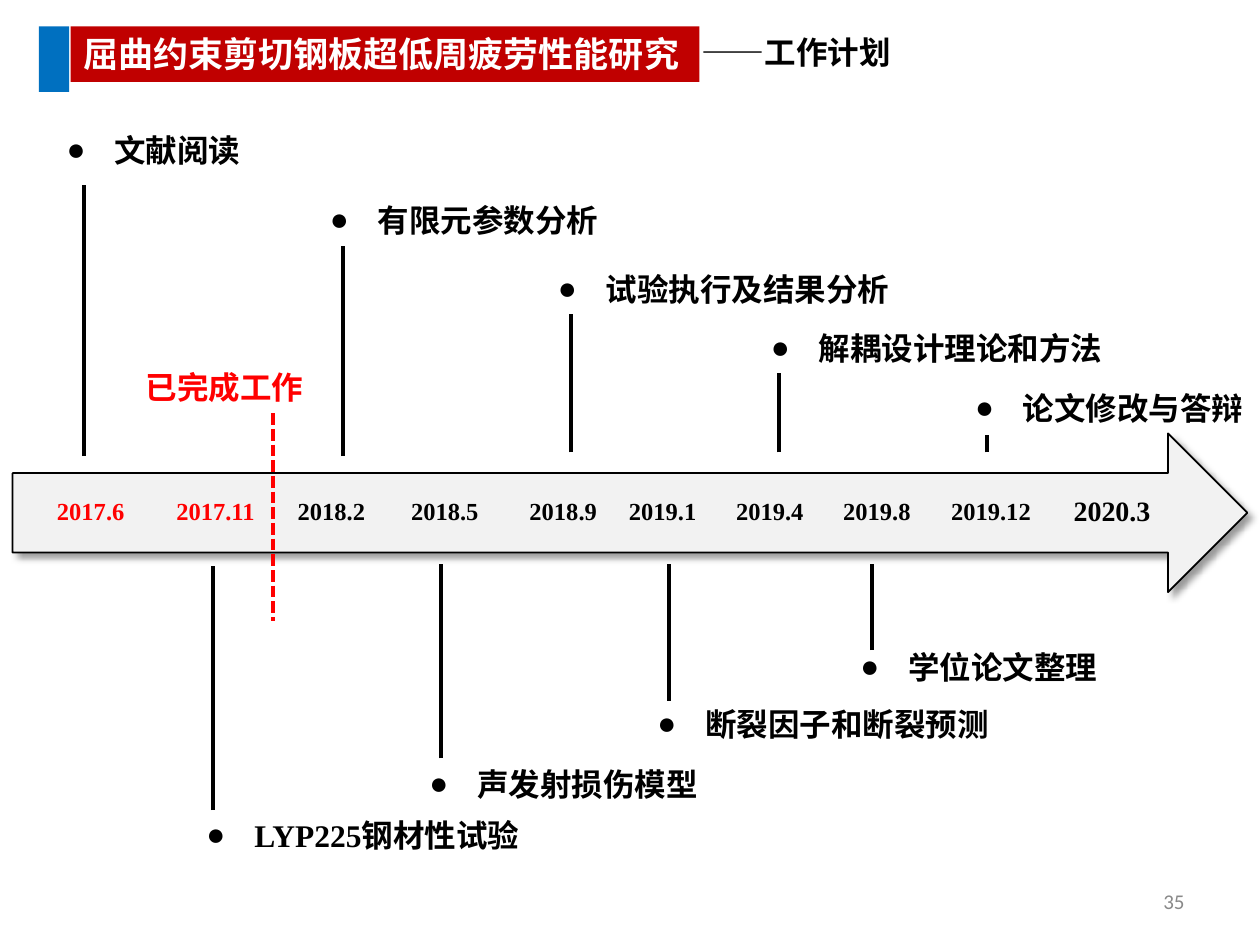
"""Build the work-plan timeline slide."""
from lxml import etree
from pptx import Presentation
from pptx import util as u
from pptx.dml.color import RGBColor
from pptx.enum import dml, shapes, text
from pptx.oxml import ns

BLACK = RGBColor(0, 0, 0)
WHITE = RGBColor(255, 255, 255)
RED = RGBColor(255, 0, 0)
DARK_RED = RGBColor(0xC0, 0, 0)
BLUE = RGBColor(0, 0x70, 0xC0)
PALE = RGBColor(0xF2, 0xF2, 0xF2)
GREY = RGBColor(0x89, 0x89, 0x89)
CJK, SERIF = "Noto Sans CJK SC", "Times New Roman"

TITLE = "屈曲约束剪切钢板超低周疲劳性能研究"
SUBTITLE = "——工作计划"
DONE = "已完成工作"
PAGE = "35"

# date, left, width, size, colour
DATES = [
    ("2017.6", 0.36, 0.72, 14, RED),
    ("2017.11", 1.35, 0.72, 14, RED),
    ("2018.2", 2.27, 0.72, 14, BLACK),
    ("2018.5", 3.17, 0.72, 14, BLACK),
    ("2018.9", 4.11, 0.72, 14, BLACK),
    ("2019.1", 4.96, 0.6, 14, BLACK),
    ("2019.4", 5.81, 0.6, 14, BLACK),
    ("2019.8", 6.66, 0.6, 14, BLACK),
    ("2019.12", 7.46, 0.81, 14, BLACK),
    ("2020.3", 8.42, 0.81, 16, BLACK),
]
# task, left, top, width, outlined, stem x, stem start, stem end
TASKS = [
    ("文献阅读", 0.43, 0.99, 3.87, True, 0.67, 3.62, 1.47),
    ("有限元参数分析", 2.52, 1.55, 2.87, False, 2.72, 3.62, 1.95),
    ("试验执行及结果分析", 4.33, 2.09, 2.87, True, 4.53, 3.59, 2.49),
    ("解耦设计理论和方法", 6.02, 2.56, 3.15, True, 6.18, 3.59, 2.96),
    ("论文修改与答辩", 7.64, 3.04, 2.87, False, 7.83, 3.59, 3.45),
    ("LYP225钢材性试验", 1.54, 6.43, 2.87, True, 1.69, 6.43, 4.49),
    ("声发射损伤模型", 3.31, 6.02, 2.87, False, 3.5, 6.02, 4.48),
    ("断裂因子和断裂预测", 5.12, 5.55, 2.87, False, 5.31, 5.56, 4.48),
    ("学位论文整理", 6.73, 5.09, 2.87, False, 6.92, 5.16, 4.48),
]


def write(sp, content, size=18, color=BLACK, font=SERIF, bold=True, align=text.PP_ALIGN.LEFT,
          anchor=text.MSO_ANCHOR.TOP, wrap=True, spacing=None, margins=None, bullet=False):
    tf = sp.text_frame
    tf.word_wrap, tf.vertical_anchor = wrap, anchor
    tf.auto_size = text.MSO_AUTO_SIZE.NONE
    if margins:
        tf.margin_left = tf.margin_right = u.Inches(margins[0])
        tf.margin_top = tf.margin_bottom = u.Inches(margins[1])
    p = tf.paragraphs[0]
    p.alignment = align
    if spacing:
        p.line_spacing = spacing
    if bullet:
        pPr = p._p.get_or_add_pPr()
        pPr.set("marL", str(u.Inches(0.38)))
        pPr.set("indent", str(u.Inches(-0.38)))
        clr = etree.SubElement(pPr, ns.qn("a:buClr"))
        etree.SubElement(clr, ns.qn("a:srgbClr"), val=str(BLACK))
        etree.SubElement(pPr, ns.qn("a:buFont"), typeface=SERIF)
        etree.SubElement(pPr, ns.qn("a:buChar"), char="●")
    r = p.add_run()
    r.text = content
    r.font.size, r.font.bold, r.font.name = u.Pt(size), bold, font
    r.font.color.rgb = color
    etree.SubElement(r._r.get_or_add_rPr(), ns.qn("a:ea"), typeface=CJK)


def place(sp, *box):
    sp.left, sp.top, sp.width, sp.height = map(u.Inches, box)


def add_text(s, box, content, **fmt):
    sp = s.shapes.add_textbox(*map(u.Inches, box))
    write(sp, content, **fmt)
    return sp


def add_block(s, kind, box, fill):
    sp = s.shapes.add_shape(kind, *map(u.Inches, box))
    sp.shadow.inherit = False
    sp.fill.solid()
    sp.fill.fore_color.rgb = fill
    sp.line.fill.background()
    return sp


def add_stem(s, x, start, end, color=BLACK, dash=None):
    c = s.shapes.add_connector(shapes.MSO_CONNECTOR.STRAIGHT, *map(u.Inches, (x, start, x, end)))
    c.line.color.rgb, c.line.width = color, u.Pt(2.25)
    if dash:
        c.line.dash_style = dash
    etree.SubElement(c._element.spPr, ns.qn("a:effectLst"))


def add_timeline(s):
    sp = add_block(s, shapes.MSO_SHAPE.RIGHT_ARROW, (0.1, 3.44, 9.8, 1.26), PALE)
    sp.line.color.rgb, sp.line.width = BLACK, u.Pt(1)
    effects = sp._element.spPr.find(ns.qn("a:effectLst"))
    shadow = etree.SubElement(effects, ns.qn("a:outerShdw"), blurRad=str(u.Pt(4)),
                              dist=str(u.Pt(3)), dir=str(45 * 60000), algn="tl", rotWithShape="0")
    clr = etree.SubElement(shadow, ns.qn("a:srgbClr"), val=str(BLACK))
    etree.SubElement(clr, ns.qn("a:alpha"), val="40000")
    for date, left, width, size, color in DATES:
        add_text(s, (left, 3.75, width, 0.63), date, size=size, color=color, spacing=0.9,
                 align=text.PP_ALIGN.CENTER, anchor=text.MSO_ANCHOR.MIDDLE, margins=(0, 0.16))


def main():
    prs = Presentation()
    prs.slide_width, prs.slide_height = u.Inches(10), u.Inches(7.5)
    s = prs.slides.add_slide(prs.slide_layouts[5])
    s.background.fill.solid()
    s.background.fill.fore_color.rgb = WHITE

    title = s.shapes.title
    place(title, 0.56, 0.21, 4.99, 0.44)
    title.fill.solid()
    title.fill.fore_color.rgb = DARK_RED
    write(title, TITLE, size=20, color=WHITE, font=CJK)
    add_block(s, shapes.MSO_SHAPE.RECTANGLE, (0.31, 0.21, 0.24, 0.52), BLUE)
    add_text(s, (5.47, 0.21, 1.76, 0.4), SUBTITLE, font=CJK, wrap=False)
    add_text(s, (7.17, 6.95, 2.33, 0.4), PAGE, size=12, color=GREY, font="Calibri", bold=False,
             align=text.PP_ALIGN.RIGHT, anchor=text.MSO_ANCHOR.MIDDLE)

    add_timeline(s)
    for task, left, top, width, outlined, x, start, end in TASKS:
        sp = add_text(s, (left, top, width, 0.4), task, bullet=True)
        if outlined:
            sp.line.color.rgb, sp.line.width = WHITE, u.Pt(0.75)
        add_stem(s, x, start, end)
    add_stem(s, 2.17, 3.28, 4.93, RED, dml.MSO_LINE.SQUARE_DOT)
    add_text(s, (1.06, 2.87, 1.47, 0.4), DONE, color=RED)
    prs.save("out.pptx")


if __name__ == "__main__":
    main()
